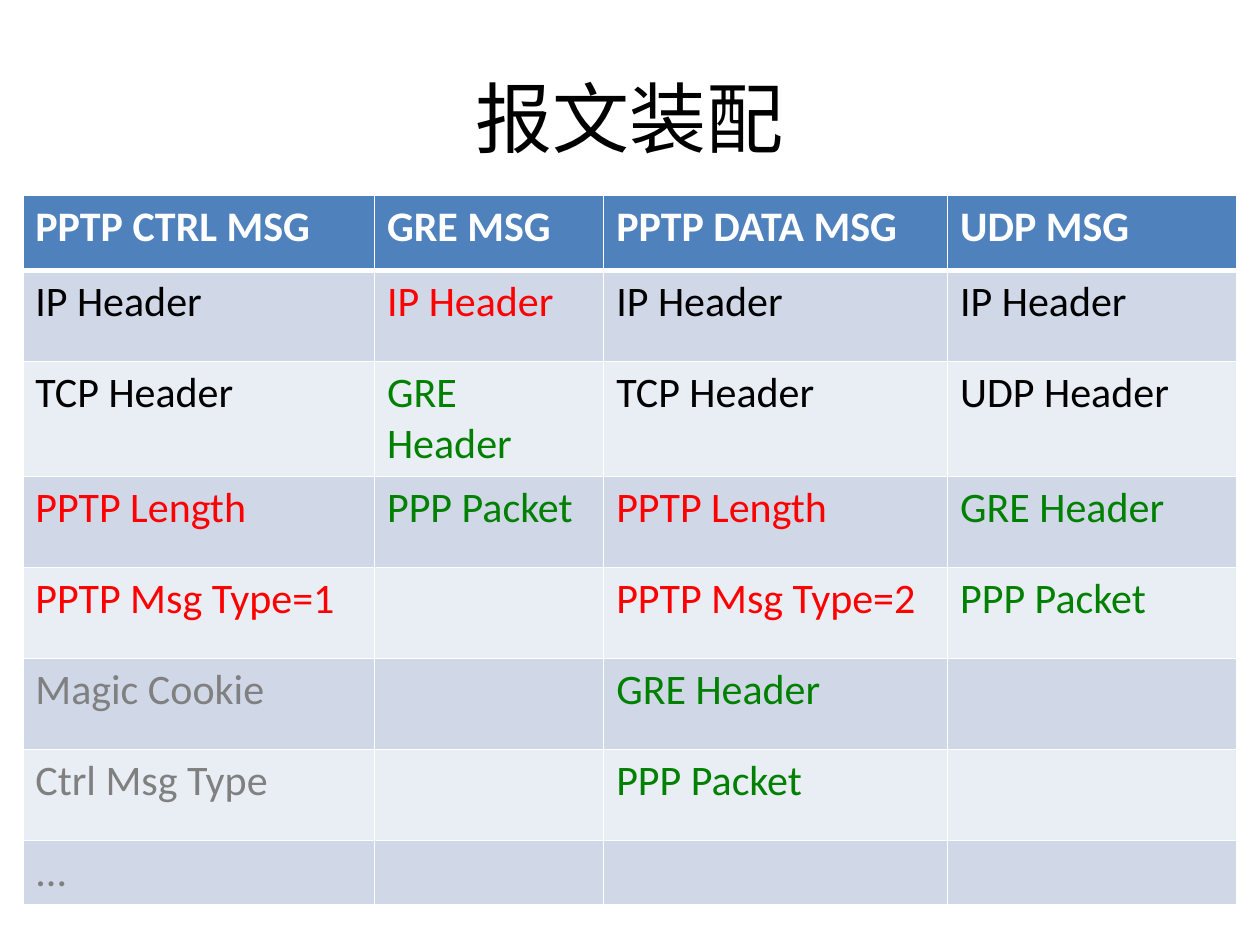
"""Build a slide that compares how PPTP, GRE and UDP messages are assembled."""
import pptx
import pptx.dml.color
import pptx.enum.text
import pptx.oxml
import pptx.oxml.ns
import pptx.util

Pt = pptx.util.Pt
COLORS = {
    "white": "FFFFFF",
    "black": "000000",
    "red": "FF0000",
    "green": "008000",
    "gray": "808080",
    "header": "4F81BD",
    "odd": "D0D8E8",
    "even": "E9EDF4",
}
HEADERS = ["PPTP CTRL MSG", "GRE MSG", "PPTP DATA MSG", "UDP MSG"]
MESSAGES = [
    [("IP Header", "black"), ("TCP Header", "black"), ("PPTP Length", "red"),
     ("PPTP Msg Type=1", "red"), ("Magic Cookie", "gray"),
     ("Ctrl Msg Type", "gray"), ("...", "gray")],
    [("IP Header", "red"), ("GRE Header", "green"), ("PPP Packet", "green")],
    [("IP Header", "black"), ("TCP Header", "black"), ("PPTP Length", "red"),
     ("PPTP Msg Type=2", "red"), ("GRE Header", "green"), ("PPP Packet", "green")],
    [("IP Header", "black"), ("UDP Header", "black"), ("GRE Header", "green"),
     ("PPP Packet", "green")],
]
COLUMN_WIDTHS = [201, 131, 196.5, 165.5]
ROW_HEIGHTS = [43] + [52] * 6 + [32]


def rgb(name):
    return pptx.dml.color.RGBColor.from_string(COLORS[name])


def write_text(frame, text, *, size=24, color="black", bold=False, align="LEFT"):
    para = frame.paragraphs[0]
    para.alignment = getattr(pptx.enum.text.PP_ALIGN, align)
    span = para.add_run()
    span.text = text
    span.font.name = "Calibri"
    span.font.size = Pt(size)
    span.font.bold = bold
    span.font.color.rgb = rgb(color)


def add_title(page, text):
    box = page.shapes.title
    box.left, box.top, box.width, box.height = Pt(36), Pt(21.6), Pt(648), Pt(90)
    box.text_frame.vertical_anchor = pptx.enum.text.MSO_ANCHOR.MIDDLE
    write_text(box.text_frame, text, size=44, align="CENTER")


def set_borders(cell, top, bottom):
    properties = cell._tc.get_or_add_tcPr()
    for side, width in (("L", 1), ("R", 1), ("T", top), ("B", bottom)):
        properties.append(pptx.oxml.parse_xml(
            f'<a:ln{side} {pptx.oxml.ns.nsdecls("a")} w="{Pt(width)}">'
            f'<a:solidFill><a:srgbClr val="{COLORS["white"]}"/></a:solidFill>'
            f'</a:ln{side}>'))


def style_cell(cell, row):
    set_borders(cell, top=3 if row == 1 else 1, bottom=3 if row == 0 else 1)
    cell.fill.solid()
    cell.fill.fore_color.rgb = rgb("header" if row == 0 else "odd" if row % 2 else "even")


def add_message_table(page):
    frame = page.shapes.add_table(
        len(ROW_HEIGHTS), len(COLUMN_WIDTHS), Pt(13), Pt(111.6),
        Pt(sum(COLUMN_WIDTHS)), Pt(sum(ROW_HEIGHTS)))
    table = frame.table
    for row, height in zip(table.rows, ROW_HEIGHTS):
        row.height = Pt(height)
    for index, (width, header, fields) in enumerate(zip(COLUMN_WIDTHS, HEADERS, MESSAGES)):
        table.columns[index].width = Pt(width)
        for row in range(len(ROW_HEIGHTS)):
            style_cell(table.cell(row, index), row)
        write_text(table.cell(0, index).text_frame, header, color="white", bold=True)
        for row, (text, color) in enumerate(fields, start=1):
            write_text(table.cell(row, index).text_frame, text, color=color)


def main():
    deck = pptx.Presentation()
    deck.slide_width, deck.slide_height = Pt(720), Pt(540)
    page = deck.slides.add_slide(deck.slide_layouts.get_by_name("Title Only"))
    add_title(page, "报文装配")
    add_message_table(page)
    deck.save("out.pptx")


if __name__ == "__main__":
    main()
